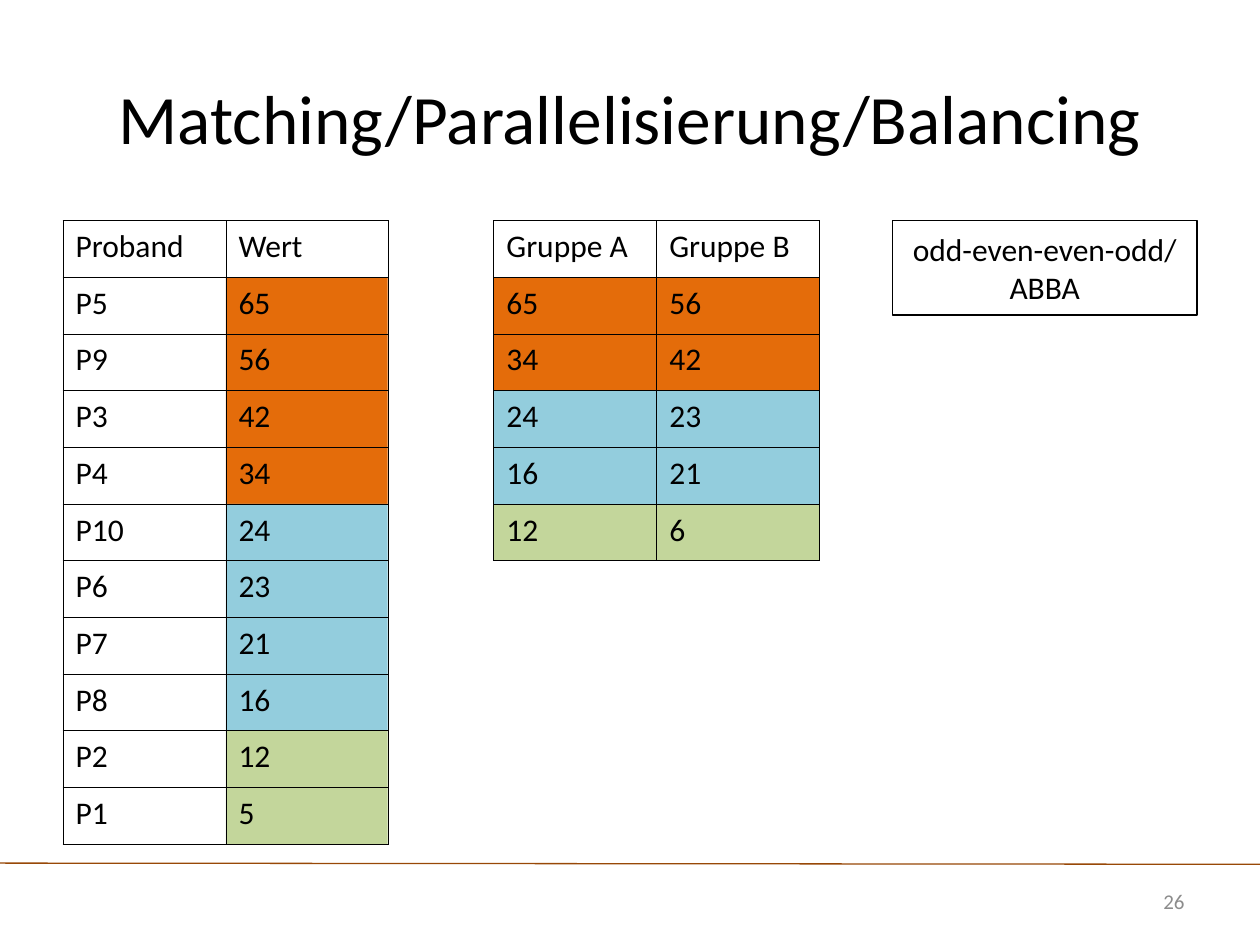
from lxml import etree
from pptx import Presentation
from pptx.dml.color import RGBColor
from pptx.enum import shapes, text
from pptx.oxml import ns
from pptx.util import Pt

BLACK = RGBColor(0x00, 0x00, 0x00)
WHITE = RGBColor(0xFF, 0xFF, 0xFF)
GREY = RGBColor(0x8C, 0x8C, 0x8C)
BROWN = RGBColor(0x98, 0x48, 0x07)
ORANGE = RGBColor(0xE4, 0x6C, 0x0A)
BLUE = RGBColor(0x93, 0xCD, 0xDD)
GREEN = RGBColor(0xC3, 0xD6, 0x9B)

ROW_HEIGHT = 32.4
COLUMN_WIDTH = 93.1
TABLE_TOP = 126


class SlideBuilder:
    """Holds the style and the current slide."""

    font_name = "Calibri"
    body_size = 18
    border_width = 0.45

    def __init__(self, slide):
        self.slide = slide

    def set_text(self, frame, lines, size=body_size, color=BLACK,
                 align=text.PP_ALIGN.LEFT, spacing=None):
        frame.text = "\n".join(lines)
        font_format = {"name": self.font_name, "size": Pt(size), "bold": False}
        for paragraph in frame.paragraphs:
            paragraph.alignment = align
            paragraph.line_spacing = spacing
            for key, value in font_format.items():
                setattr(paragraph.font, key, value)
            paragraph.font.color.rgb = color

    def textbox(self, box, content, **style):
        frame = self.slide.shapes.add_textbox(*map(Pt, box)).text_frame
        frame.word_wrap = True
        frame.vertical_anchor = text.MSO_ANCHOR.MIDDLE
        self.set_text(frame, [content], **style)

    def rectangle(self, box, fill, lines=(), outline=None):
        shape = self.slide.shapes.add_shape(shapes.MSO_SHAPE.RECTANGLE, *map(Pt, box))
        shape.shadow.inherit = False
        shape.fill.solid()
        shape.fill.fore_color.rgb = fill
        if outline is None:
            shape.line.fill.background()
        else:
            shape.line.color.rgb = outline
            shape.line.width = Pt(0.75)
        if lines:
            shape.text_frame.word_wrap = True
            shape.text_frame.vertical_anchor = text.MSO_ANCHOR.MIDDLE
            self.set_text(shape.text_frame, lines, align=text.PP_ALIGN.CENTER)

    def line(self, start, end, color):
        connector = self.slide.shapes.add_connector(
            shapes.MSO_CONNECTOR.STRAIGHT, *map(Pt, start + end))
        connector.line.color.rgb = color
        connector.line.width = Pt(0.75)
        etree.SubElement(connector._element.spPr, ns.qn("a:effectLst"))

    def bands(self, left, width, bands):
        """Stack coloured bands, each covering some rows below the header."""
        top = TABLE_TOP + ROW_HEIGHT
        for color, row_count in bands:
            height = row_count * ROW_HEIGHT
            self.rectangle((left, top, width, height), color)
            top += height

    def table(self, left, rows):
        row_count, column_count = len(rows), len(rows[0])
        box = (left, TABLE_TOP, column_count * COLUMN_WIDTH, row_count * ROW_HEIGHT)
        table = self.slide.shapes.add_table(row_count, column_count, *map(Pt, box)).table
        table.first_row = table.horz_banding = False
        for column in table.columns:
            column.width = Pt(COLUMN_WIDTH)
        for table_row, values in zip(table.rows, rows):
            table_row.height = Pt(ROW_HEIGHT)
            for cell, value in zip(table_row.cells, values):
                self.set_text(cell.text_frame, [value], spacing=1.02)
                self.borders(cell)
                cell.fill.background()

    def borders(self, cell):
        properties = cell._tc.get_or_add_tcPr()
        for side in ("lnL", "lnR", "lnT", "lnB"):
            border = etree.SubElement(
                properties, ns.qn(f"a:{side}"), w=str(Pt(self.border_width)))
            fill = etree.SubElement(border, ns.qn("a:solidFill"))
            etree.SubElement(fill, ns.qn("a:srgbClr"), val=str(BLACK))


def main():
    presentation = Presentation()
    presentation.slide_width, presentation.slide_height = Pt(720), Pt(540)
    builder = SlideBuilder(presentation.slides.add_slide(presentation.slide_layouts[6]))

    # Footer line, title and page number
    builder.line((0, 493.2), (720, 493.9), BROWN)
    builder.textbox((36, 21.6, 648, 90), "Matching/Parallelisierung/Balancing",
                    size=39.6, align=text.PP_ALIGN.CENTER)
    builder.textbox((618.5, 500.4, 65.5, 28.8), "26",
                    size=12, color=GREY, align=text.PP_ALIGN.RIGHT)

    # Ranked test persons, with bands behind the values
    ranking_left, groups_left = 36, 282.2
    builder.bands(ranking_left + COLUMN_WIDTH, 92.5, [(ORANGE, 4), (BLUE, 4), (GREEN, 2)])
    ranking = [("Proband", "Wert"), ("P5", "65"), ("P9", "56"), ("P3", "42"),
               ("P4", "34"), ("P10", "24"), ("P6", "23"), ("P7", "21"),
               ("P8", "16"), ("P2", "12"), ("P1", "5")]
    builder.table(ranking_left, ranking)

    # Matched groups, with bands behind both columns
    builder.bands(groups_left, 2 * COLUMN_WIDTH, [(ORANGE, 2), (BLUE, 2), (GREEN, 1)])
    groups = [("Gruppe A", "Gruppe B"), ("65", "56"), ("34", "42"),
              ("24", "23"), ("16", "21"), ("12", "6")]
    builder.table(groups_left, groups)

    # Assignment rule
    builder.rectangle((510, TABLE_TOP, 174, 54), WHITE,
                      ["odd-even-even-odd/", "ABBA"], outline=BLACK)

    presentation.save("out.pptx")


if __name__ == "__main__":
    main()
